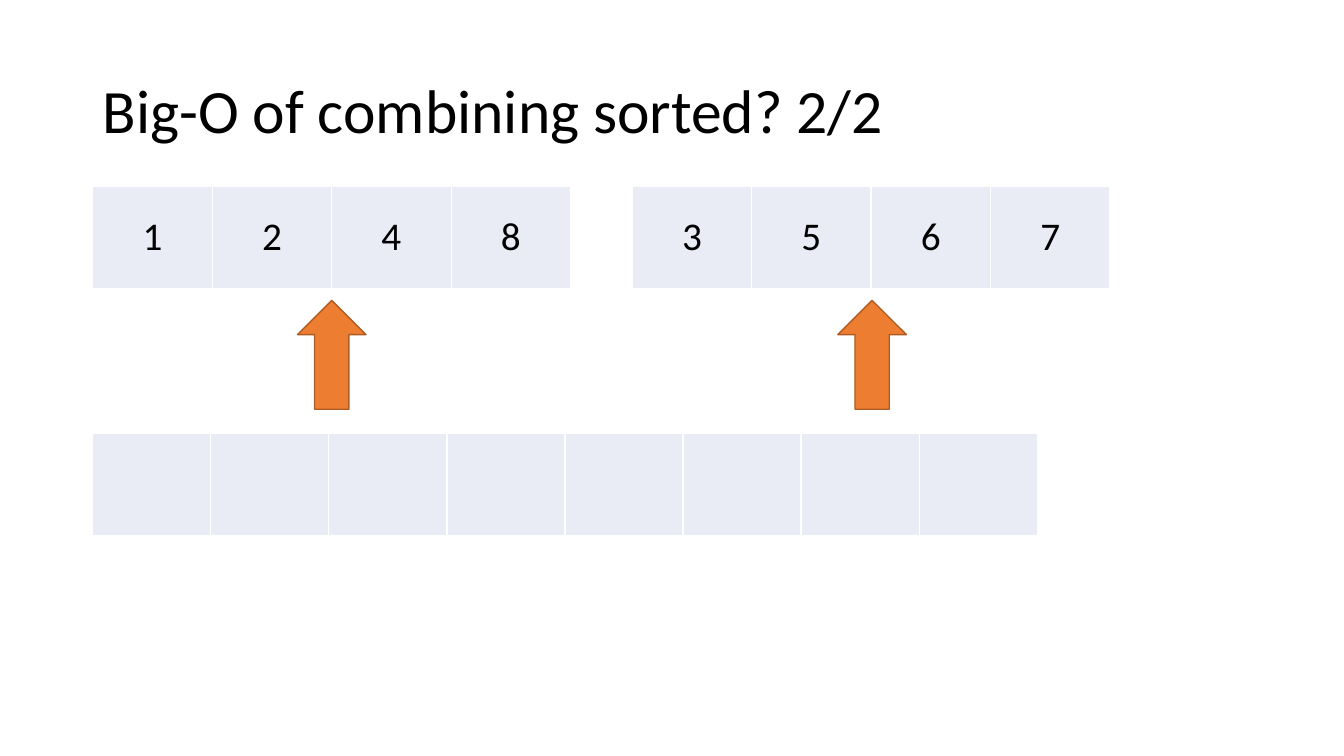
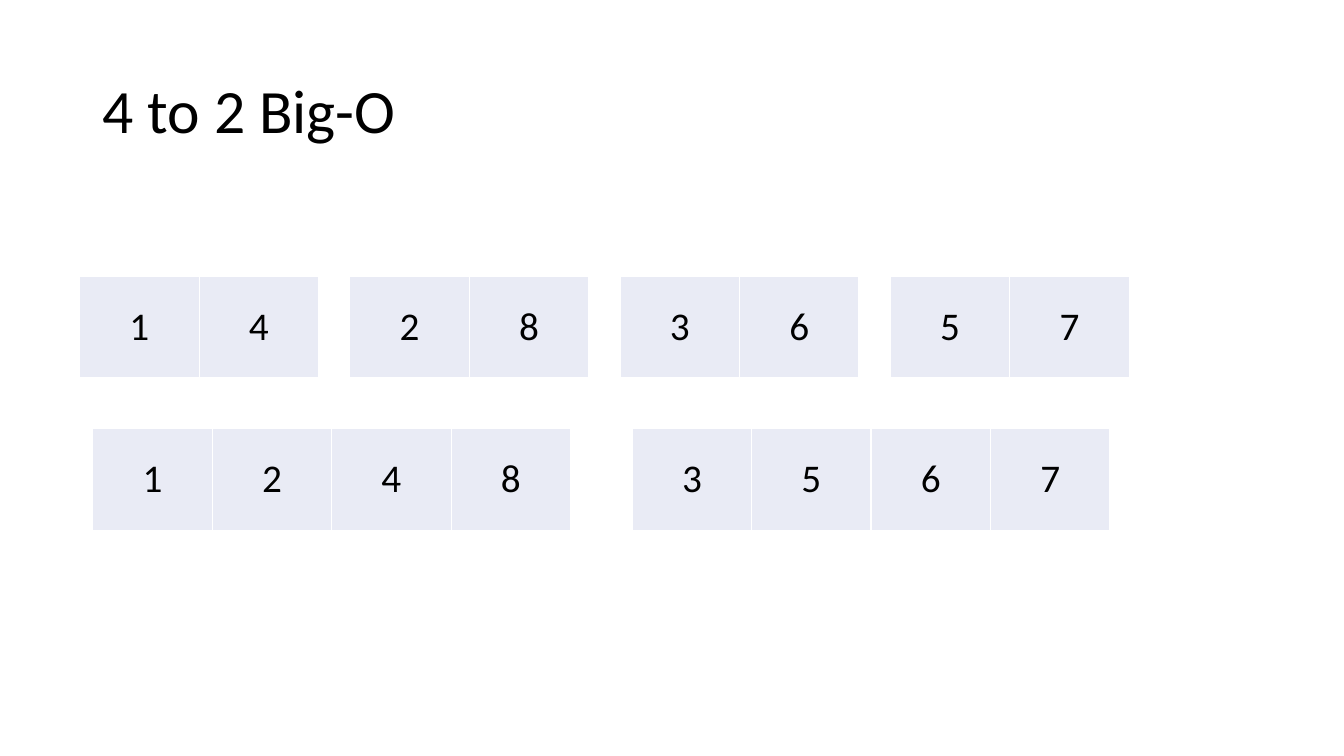
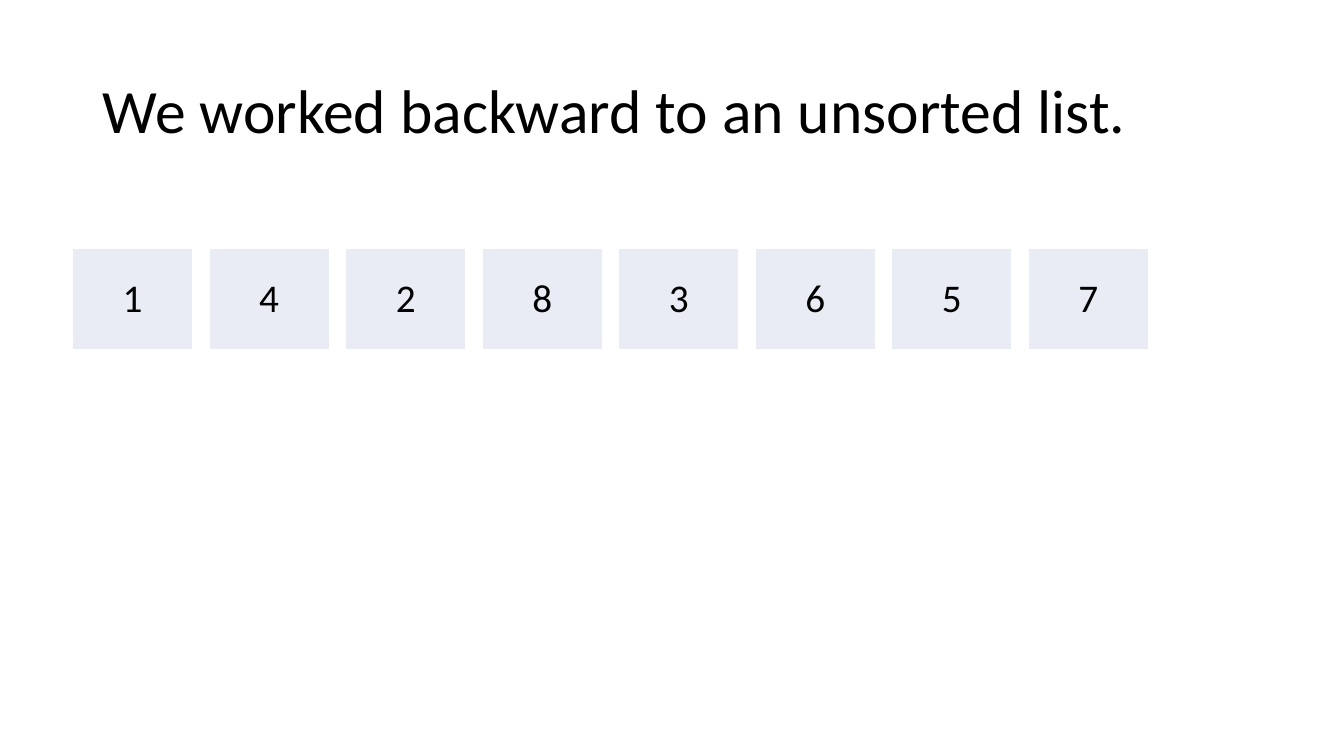
from lxml import etree
from pptx import Presentation
from pptx.dml.color import RGBColor
from pptx.enum import shapes, text
from pptx.oxml import ns
from pptx.util import Inches, Pt

HUES = {"text": "000000", "cell": "E9EBF5", "rule": "FFFFFF",
        "arrow": "ED7D31", "edge": "AF5C24"}
FONT = "Calibri"
TITLE = {"size": Pt(44), "name": FONT}
DIGIT = {"size": Pt(28), "name": FONT}
FRAME = {"word_wrap": True, "vertical_anchor": text.MSO_ANCHOR.MIDDLE}
PLAIN = {"first_row": False, "horz_banding": False}
HIGH = 1.01    # height of every list
HALVES = ["1248", "3567"]
PAIRS = ["14", "28", "36", "57"]


def hue(key):
    return RGBColor.from_string(HUES[key])


def apply(item, values):
    for key, value in values.items():
        setattr(item, key, value)


class Deck:
    def __init__(self):
        self.prs = Presentation()
        self.prs.slide_width = Inches(13.33)
        self.prs.slide_height = Inches(7.5)
        self.slide = None

    def label(self, para, words, style):
        run = para.add_run()
        run.text = words
        apply(run.font, style)
        run.font.color.rgb = hue("text")

    def page(self, title):
        """Start a slide with its title."""
        self.slide = self.prs.slides.add_slide(self.prs.slide_layouts[6])
        box = self.slide.shapes.add_textbox(
            Inches(0.92), Inches(0.4), Inches(11.5), Inches(1.45))
        apply(box.text_frame, FRAME)
        para = box.text_frame.paragraphs[0]
        para.line_spacing = 0.9
        self.label(para, title, TITLE)

    def rules(self, cell):
        """Draw thin borders on all four sides of a cell."""
        props = cell._tc.get_or_add_tcPr()
        for spot, side in enumerate(("lnL", "lnR", "lnT", "lnB")):
            line = etree.Element(ns.qn("a:" + side), w=str(Pt(1)))
            fill = etree.SubElement(line, ns.qn("a:solidFill"))
            etree.SubElement(fill, ns.qn("a:srgbClr"), val=HUES["rule"])
            props.insert(spot, line)

    def array(self, items, left, top, width):
        """Draw one list as a single-row table."""
        count = len(items)
        table = self.slide.shapes.add_table(
            1, count, Inches(left), Inches(top),
            Inches(width), Inches(HIGH)).table
        apply(table, PLAIN)
        for col, item in enumerate(items):
            table.columns[col].width = Inches(width / count)
            cell = table.cell(0, col)
            cell.fill.solid()
            cell.fill.fore_color.rgb = hue("cell")
            cell.vertical_anchor = text.MSO_ANCHOR.MIDDLE
            self.rules(cell)
            if item.strip():
                para = cell.text_frame.paragraphs[0]
                para.alignment = text.PP_ALIGN.CENTER
                self.label(para, item, DIGIT)

    def spread(self, lists, first, last, top, width):
        """Space lists evenly, from the first left edge to the last."""
        step = (last - first) / (len(lists) - 1)
        for spot, items in enumerate(lists):
            self.array(items, first + spot * step, top, width)

    def halves(self, top):
        self.spread(HALVES, 0.92, 6.27, top, 4.74)

    def arrow(self, left, top):
        shape = self.slide.shapes.add_shape(
            shapes.MSO_SHAPE.UP_ARROW, Inches(left), Inches(top),
            Inches(0.68), Inches(1.08))
        shape.shadow.inherit = False
        shape.fill.solid()
        shape.fill.fore_color.rgb = hue("arrow")
        shape.line.color.rgb = hue("edge")
        shape.line.width = Pt(1)


def main():
    deck = Deck()

    # Merging two sorted halves
    deck.page("Big-O of combining sorted? 2/2")
    deck.halves(1.85)
    deck.array([""] * 8, 0.92, 4.3, 9.37)
    for left in (2.95, 8.31):
        deck.arrow(left, 2.98)

    # Four pairs become two halves
    deck.page("4 to 2 Big-O")
    deck.halves(4.25)
    deck.spread(PAIRS, 0.79, 8.83, 2.74, 2.37)

    # Single items
    deck.page("We worked backward to an unsorted list.")
    deck.spread("".join(PAIRS), 0.72, 10.2, 2.46, 1.19)

    deck.prs.save("out.pptx")


if __name__ == "__main__":
    main()
